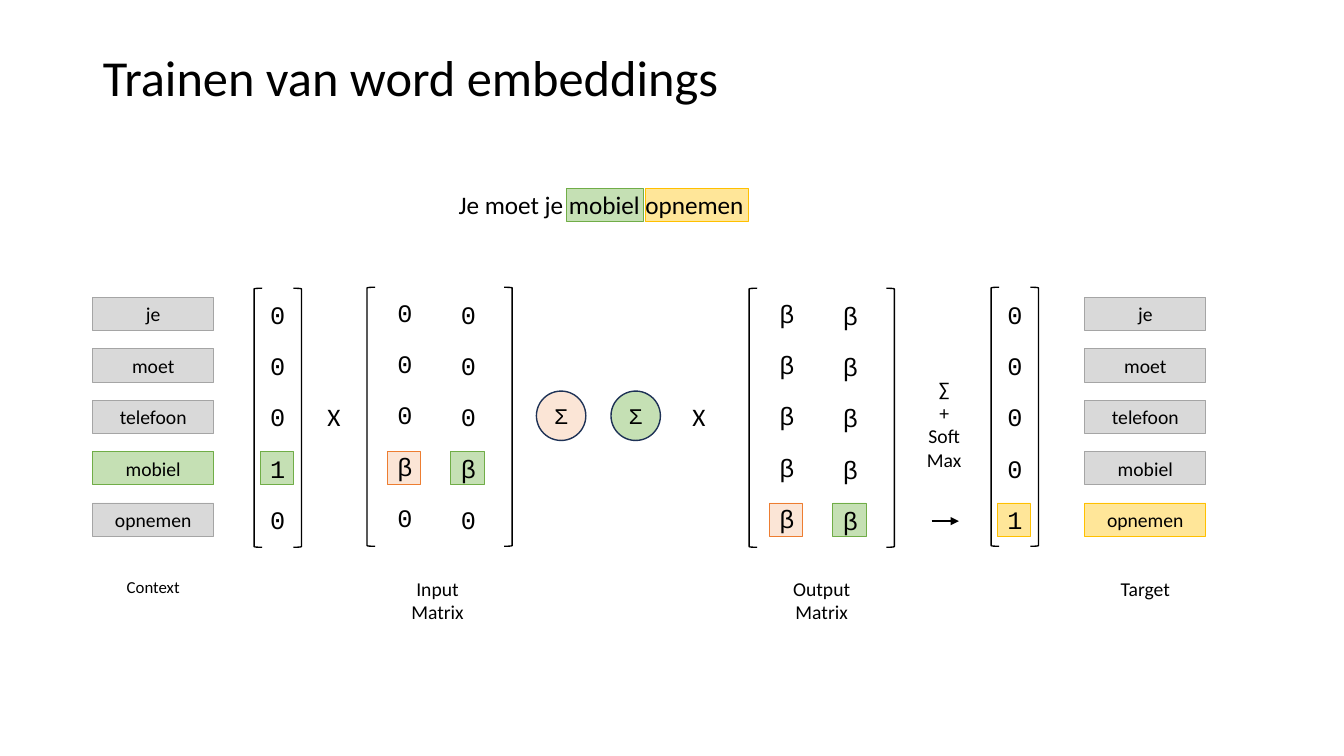
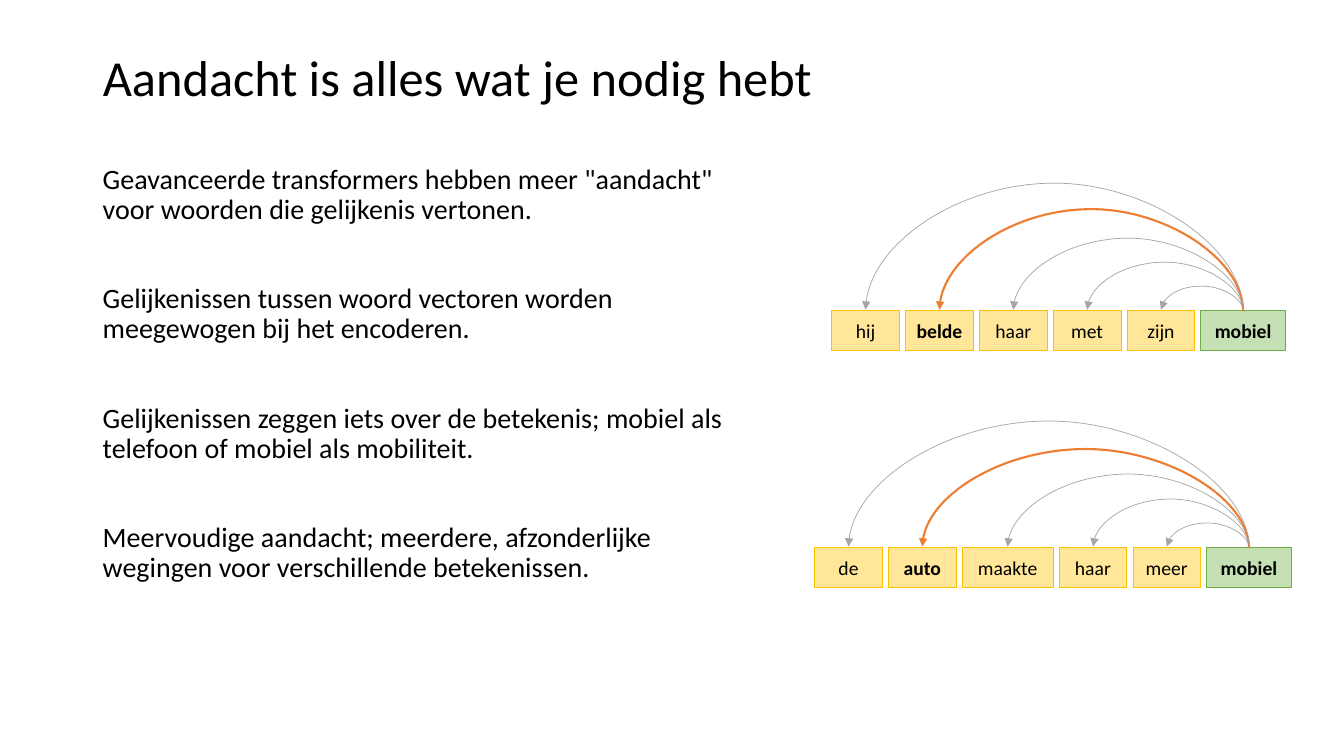
from typing import NamedTuple, Optional, Sequence, Union

from pptx import Presentation
from pptx.dml.color import RGBColor
from pptx.enum.shapes import MSO_CONNECTOR, MSO_SHAPE
from pptx.enum.text import MSO_ANCHOR, MSO_AUTO_SIZE, PP_ALIGN
from pptx.oxml.ns import qn
from pptx.shapes.autoshape import Shape
from pptx.shapes.connector import Connector
from pptx.shapes.shapetree import GroupShapes, SlideShapes
from pptx.slide import Slide
from pptx.util import Emu, Inches, Pt
from lxml.etree import SubElement

Tree = Union[SlideShapes, GroupShapes]

CELL = Inches(0.1)
SANS = "Calibri"
MONO = "Courier New"
BLACK = "000000"
GRAY = "A5A5A5"
ORANGE = "ED7D31"
NAVY = "1E3256"


class Tone(NamedTuple):
    fill: Optional[str]
    line: str
    width: float = 0.5


PLAIN = Tone("D9D9D9", GRAY)
GREEN = Tone("C5E0B4", "70AD47")
PEACH = Tone("FBE5D6", ORANGE)
GOLD = Tone("FFE699", "FFC000")
INK = Tone(None, BLACK, 1)


class Box(NamedTuple):
    col: float
    row: float
    wide: float
    high: float

    def emu(self) -> tuple[Emu, ...]:
        return tuple(Emu(round(cells * CELL)) for cells in self)


class Style(NamedTuple):
    size: float = 14
    font: str = SANS
    bold: bool = False
    align: PP_ALIGN = PP_ALIGN.CENTER
    anchor: MSO_ANCHOR = MSO_ANCHOR.MIDDLE
    wrap: bool = False
    before: float = 0
    after: float = 0
    lead: Optional[float] = None


class Vector(NamedTuple):
    col: float
    row: float
    text: str
    mark: Optional[int] = None
    tone: Tone = GREEN


class Pair(NamedTuple):
    left: float
    right: float
    row: float


class Label(NamedTuple):
    box: Box
    lines: Sequence[str]
    style: Style = Style()


class Word(NamedTuple):
    text: str
    rise: float
    wide: float = 6.72


class Chain(NamedTuple):
    col: float
    row: float
    words: Sequence[Word]


TITLE = Style(36, align=PP_ALIGN.LEFT, wrap=True, lead=0.9)
BODY = Style(20, align=PP_ALIGN.LEFT, anchor=MSO_ANCHOR.TOP, wrap=True, before=42, lead=0.9)
DIGIT = Style(18, MONO, anchor=MSO_ANCHOR.TOP, after=15)
LEAD = Style(18, align=PP_ALIGN.LEFT, anchor=MSO_ANCHOR.TOP)

TOP, STEP, SIDE = 29.5, 5.1, 3.3
VOCAB = ("je", "moet", "telefoon", "mobiel", "opnemen")
LISTS = ((9.2, 3, GREEN), (107.6, 4, GOLD))
VECTORS = (
    Vector(25.8, 29.2, "00010", 3),
    Vector(38.4, 29, "000β0", 3, PEACH),
    Vector(44.7, 29.2, "000β0", 3),
    Vector(76.3, 29.1, "βββββ", 4, PEACH),
    Vector(82.6, 29.3, "βββββ", 4),
    Vector(98.9, 29.2, "00001", 4, GOLD),
)
PAIRS = (
    Pair(25.2, 29.9, 28.6),
    Pair(36.4, 50.8, 28.5),
    Pair(74.3, 88.7, 28.6),
    Pair(98.3, 103, 28.5),
)
SUMS = ((53.2, PEACH), (60.6, GREEN))
MARKS = ((Box(64, 18.7, 10.2, SIDE), GOLD), (Box(56.2, 18.7, 7.6, SIDE), GREEN))
LABELS = (
    Label(Box(44.5, 18.3, 30.7, 4), ("Je moet je mobiel opnemen",), LEAD),
    Label(Box(31.5, 39.3, 3.3, 4), ("X",), LEAD),
    Label(Box(67.7, 39.3, 3.3, 4), ("X",), LEAD),
    Label(Box(9.2, 56.7, 12, 3), ("Context",), Style(12)),
    Label(Box(36.2, 56.7, 14.4, 5.7), ("Input", "Matrix")),
    Label(Box(74.3, 56.7, 14.4, 5.7), ("Output", "Matrix")),
    Label(Box(107.6, 56.7, 12, 3.4), ("Target",)),
    Label(Box(90.5, 36.9, 6.3, 10.4), ("∑", "+", "Soft", "Max")),
)
POINTS = (
    'Geavanceerde transformers hebben meer "aandacht" voor woorden die gelijkenis vertonen.',
    "Gelijkenissen tussen woord vectoren worden meegewogen bij het encoderen.",
    "Gelijkenissen zeggen iets over de betekenis; mobiel als telefoon of mobiel als mobiliteit.",
    "Meervoudige aandacht; meerdere, afzonderlijke wegingen voor verschillende betekenissen.",
)
FOCUS = 1
CHAINS = (
    Chain(82.5, 30.8, (
        Word("hij", 12.8), Word("belde", 10.2), Word("haar", 7.3),
        Word("met", 4.9), Word("zijn", 2.5), Word("mobiel", 0, 8.4),
    )),
    Chain(80.8, 54.3, (
        Word("de", 12.7), Word("auto", 9.9), Word("maakte", 7.4, 9),
        Word("haar", 4.9), Word("meer", 2.5), Word("mobiel", 0, 8.4),
    )),
)


def tint(code: str) -> RGBColor:
    return RGBColor.from_string(code)


def write(shape: Shape, lines: Sequence[str], style: Style) -> None:
    frame = shape.text_frame
    frame.auto_size = MSO_AUTO_SIZE.NONE
    frame.word_wrap = style.wrap
    frame.vertical_anchor = style.anchor
    for spot, line in enumerate(lines):
        para = frame.add_paragraph() if spot else frame.paragraphs[0]
        para.text = line
        para.alignment = style.align
        para.space_before = Pt(style.before if spot else 0)
        para.space_after = Pt(style.after)
        para.line_spacing = style.lead
        para.font.size = Pt(style.size)
        para.font.name = style.font
        para.font.bold = style.bold
        para.font.color.rgb = tint(BLACK)


def note(tree: Tree, label: Label) -> None:
    write(tree.add_textbox(*label.box.emu()), label.lines, label.style)


def draw(tree: Tree, box: Box, tone: Tone, kind: MSO_SHAPE = MSO_SHAPE.RECTANGLE,
         text: str = "", style: Style = Style()) -> Shape:
    shape = tree.add_shape(kind, *box.emu())
    shape.shadow.inherit = False
    if tone.fill:
        shape.fill.solid()
        shape.fill.fore_color.rgb = tint(tone.fill)
    else:
        shape.fill.background()
    shape.line.color.rgb = tint(tone.line)
    shape.line.width = Pt(tone.width)
    if text:
        write(shape, (text,), style)
    return shape


def point(link: Connector, color: str, width: float) -> None:
    link.line.color.rgb = tint(color)
    link.line.width = Pt(width)
    props = link.element.spPr
    SubElement(props.find(qn("a:ln")), qn("a:tailEnd"), type="triangle")
    SubElement(props, qn("a:effectLst"))


def arc(tree: Tree, start: Shape, end: Shape, rise: float, hot: bool) -> None:
    link = tree.add_connector(MSO_CONNECTOR.CURVE, 0, 0, 0, 0)
    link.begin_connect(start, 0)
    link.end_connect(end, 0)
    first = start.left + start.width // 2
    last = end.left + end.width // 2
    thin, span = Pt(1), first - last
    link.left = Emu((first + last - thin) // 2)
    link.top = Emu(start.top - span // 2)
    link.width, link.height = thin, Emu(span)
    props = link.element.spPr
    frame = props.find(qn("a:xfrm"))
    frame.attrib.pop("flipH", None)
    frame.set("rot", "16200000")
    frame.set("flipV", "1")
    shape = props.find(qn("a:prstGeom"))
    guides = shape.find(qn("a:avLst"))
    if guides is None:
        guides = SubElement(shape, qn("a:avLst"))
    bend = round(rise * CELL / thin * 100000)
    SubElement(guides, qn("a:gd"), name="adj1", fmla=f"val {bend}")
    point(link, ORANGE if hot else GRAY, 1.5 if hot else 0.5)


def chain(slide: Slide, data: Chain) -> None:
    tree = slide.shapes.add_group_shape().shapes
    cards, col = [], data.col
    final = len(data.words) - 1
    for spot, word in enumerate(data.words):
        bold = spot in (FOCUS, final)
        tone = GREEN if spot == final else GOLD
        box = Box(col, data.row, word.wide, 4)
        cards.append(draw(tree, box, tone, text=word.text, style=Style(bold=bold)))
        col += word.wide + 0.6
    for spot in reversed(range(final)):
        arc(tree, cards[-1], cards[spot], data.words[spot].rise, spot == FOCUS)


def start(deck: Presentation, text: str) -> Slide:
    slide = deck.slides.add_slide(deck.slide_layouts[5])
    title = slide.shapes.title
    title.left, title.top, title.width, title.height = Box(9.2, 4, 115, 7.9).emu()
    write(title, (text,), TITLE)
    return slide


def train(deck: Presentation) -> None:
    tree = start(deck, "Trainen van word embeddings").shapes
    for col, hit, tone in LISTS:
        for spot, word in enumerate(VOCAB):
            box = Box(col, TOP + spot * STEP, 12, SIDE)
            draw(tree, box, tone if spot == hit else PLAIN, text=word)
    for item in VECTORS:
        if item.mark is not None:
            draw(tree, Box(item.col, TOP + item.mark * STEP, SIDE, SIDE), item.tone)
        note(tree, Label(Box(item.col, item.row, 3.5, 24.6), item.text, DIGIT))
    for pair in PAIRS:
        draw(tree, Box(pair.left, pair.row, 0.8, 25.7), INK, MSO_SHAPE.LEFT_BRACKET)
        draw(tree, Box(pair.right - 0.8, pair.row, 0.8, 25.7), INK, MSO_SHAPE.RIGHT_BRACKET)
    for col, tone in SUMS:
        ring = Tone(tone.fill, NAVY, 1)
        draw(tree, Box(col, 38.8, 4.9, 4.9), ring, MSO_SHAPE.OVAL, "Ʃ", Style(16, MONO))
    for box, tone in MARKS:
        draw(tree, box, tone)
    for label in LABELS:
        note(tree, label)
    left, top, wide, high = Box(92.4, 51.7, 2.7, 0).emu()
    point(tree.add_connector(MSO_CONNECTOR.STRAIGHT, left, top, left + wide, top + high), BLACK, 1)


def attend(deck: Presentation) -> None:
    slide = start(deck, "Aandacht is alles wat je nodig hebt")
    note(slide.shapes, Label(Box(9.2, 15.9, 67.5, 51.6), POINTS, BODY))
    for data in CHAINS:
        chain(slide, data)


def main() -> None:
    deck = Presentation()
    deck.slide_width, deck.slide_height = Inches(13.33), Inches(7.5)
    train(deck)
    attend(deck)
    deck.save("out.pptx")


if __name__ == "__main__":
    main()
